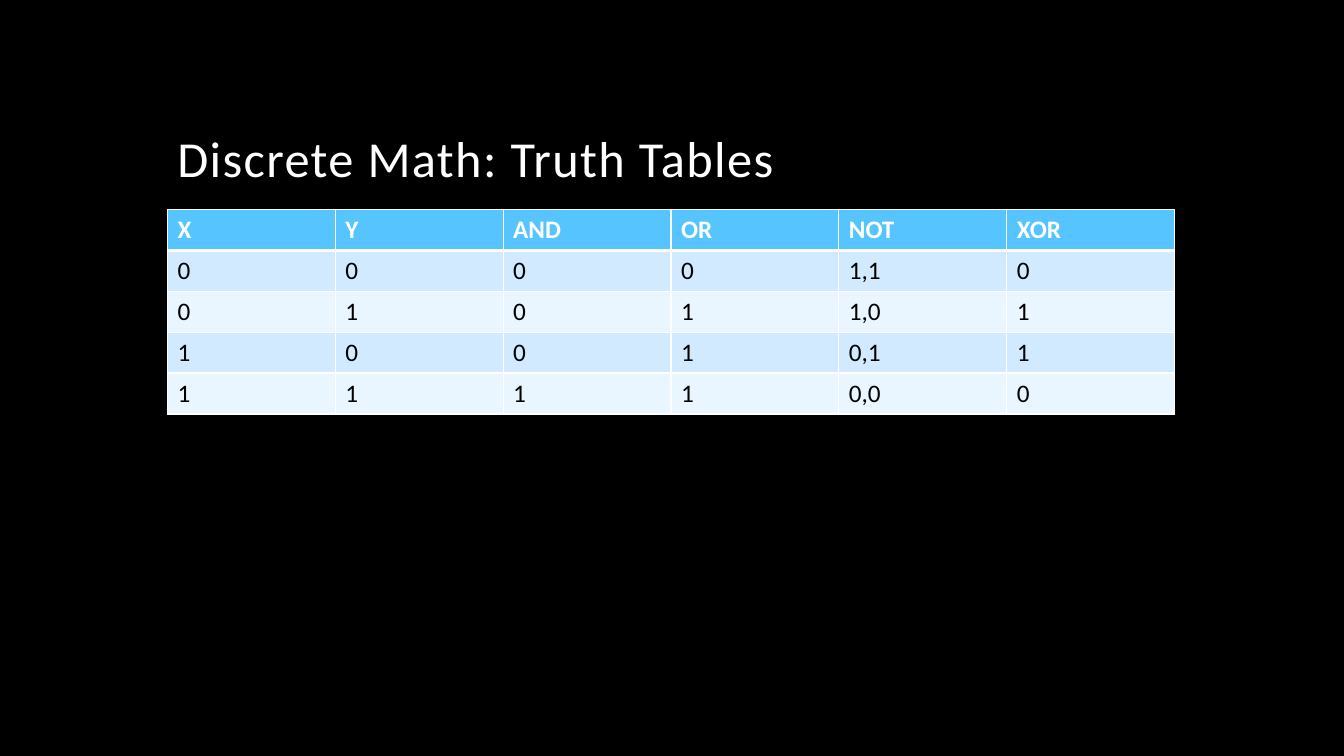
from lxml.etree import SubElement
from pptx import Presentation
from pptx.dml.color import RGBColor
from pptx.enum.text import MSO_ANCHOR
from pptx.oxml.ns import qn
from pptx.util import Cm, Pt

COLORS = {
    "background": "000000",
    "white": "FFFFFF",
    "text": "000000",
    "header": "56C5FF",
    "odd_row": "D1EAFF",
    "even_row": "E9F5FF",
}

TRUTH_TABLE = [
    ["X", "Y", "AND", "OR", "NOT", "XOR"],
    ["0", "0", "0", "0", "1,1", "0"],
    ["0", "1", "0", "1", "1,0", "1"],
    ["1", "0", "0", "1", "0,1", "1"],
    ["1", "1", "1", "1", "0,0", "0"],
]


def color(name):
    return RGBColor.from_string(COLORS[name])


def write_text(text_frame, text, size=18, color_name="text", bold=False,
               spacing=0, line_spacing=None):
    paragraph = text_frame.paragraphs[0]
    paragraph.line_spacing = line_spacing
    run = paragraph.add_run()
    run.text = text
    run.font.name = "Calibri"
    run.font.size = Pt(size)
    run.font.bold = bold
    run.font.color.rgb = color(color_name)
    if spacing:
        run.font._element.set("spc", str(round(spacing * 100)))


class SlideBuilder:
    def __init__(self, slide):
        self.slide = slide
        fill = slide.background.fill
        fill.solid()
        fill.fore_color.rgb = color("background")

    def title(self, text, left, top, width, height):
        shape = self.slide.shapes.add_textbox(Cm(left), Cm(top), Cm(width), Cm(height))
        text_frame = shape.text_frame
        text_frame.word_wrap = True
        text_frame.vertical_anchor = MSO_ANCHOR.BOTTOM
        write_text(text_frame, text, size=36, color_name="white",
                   spacing=1, line_spacing=0.9)

    def border(self, cell, side, width):
        properties = cell._tc.get_or_add_tcPr()
        line = SubElement(properties, qn(f"a:ln{side}"), w=str(Pt(width)))
        fill = SubElement(line, qn("a:solidFill"))
        SubElement(fill, qn("a:srgbClr"), val=COLORS["white"])

    def table(self, rows, left, top, column_width, row_height):
        column_count = len(rows[0])
        table = self.slide.shapes.add_table(
            len(rows), column_count, Cm(left), Cm(top),
            Cm(column_width * column_count), Cm(row_height * len(rows))).table
        for column in table.columns:
            column.width = Cm(column_width)
        for row_index, values in enumerate(rows):
            table.rows[row_index].height = Cm(row_height)
            is_header = row_index == 0
            band = "odd_row" if row_index % 2 else "even_row"
            widths = {"L": 1, "R": 1, "T": 3 if row_index == 1 else 1,
                      "B": 3 if is_header else 1}
            for column_index, value in enumerate(values):
                cell = table.cell(row_index, column_index)
                for side, width in widths.items():
                    self.border(cell, side, width)
                cell.fill.solid()
                cell.fill.fore_color.rgb = color("header" if is_header else band)
                write_text(cell.text_frame, value, bold=is_header,
                           color_name="white" if is_header else "text")


def main():
    presentation = Presentation()
    presentation.slide_width = Cm(33.87)
    presentation.slide_height = Cm(19.05)
    builder = SlideBuilder(presentation.slides.add_slide(presentation.slide_layouts[6]))
    builder.title("Discrete Math: Truth Tables", 4.22, 1.07, 25.4, 3.81)
    builder.table(TRUTH_TABLE, 4.22, 5.28, column_width=4.23, row_height=1.03)
    presentation.save("out.pptx")


if __name__ == "__main__":
    main()
